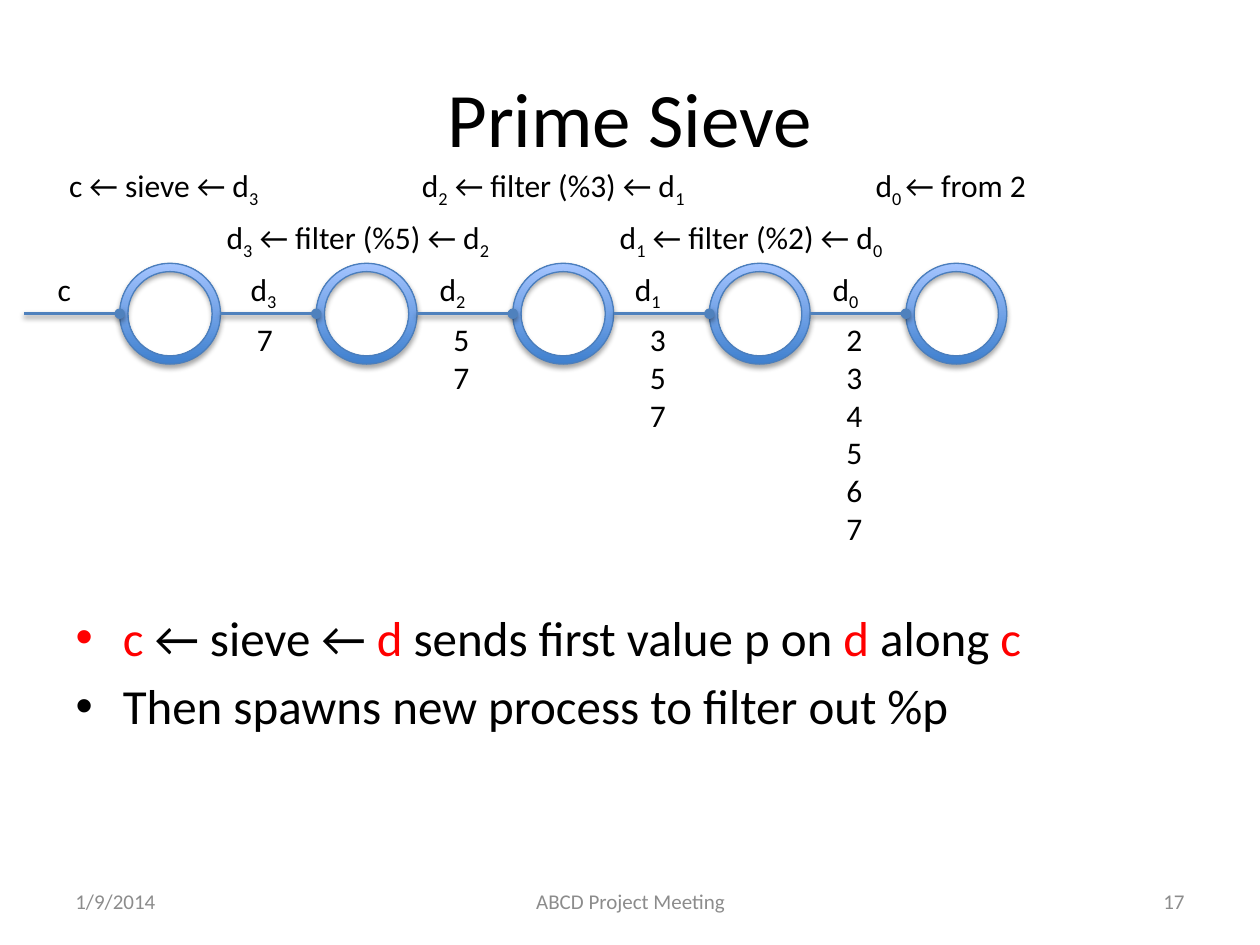
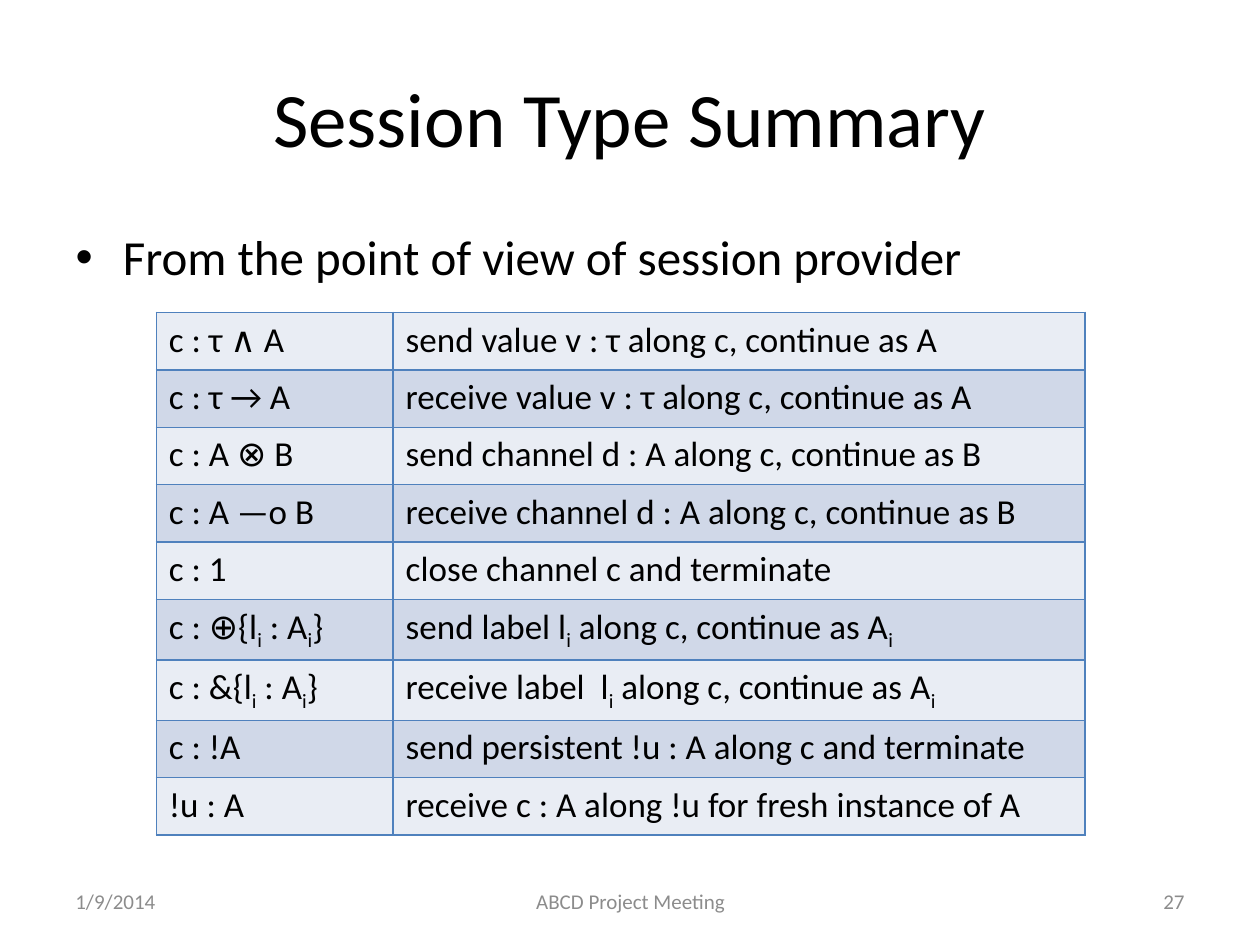
from lxml.etree import SubElement
from pptx import Presentation
from pptx.dml.color import RGBColor
from pptx.enum.shapes import MSO_CONNECTOR, MSO_SHAPE
from pptx.enum.text import MSO_ANCHOR, MSO_AUTO_SIZE, PP_ALIGN
from pptx.oxml import parse_xml
from pptx.oxml.ns import nsdecls, qn
from pptx.util import Inches, Pt

FONT = "Calibri"
BLACK, RED, GRAY = "000000", "FF0000", "8C8C8C"
BLUE, RING_EDGE, RING_DARK, RING_LIGHT = "4F81BD", "4B7EBC", "3F80CE", "A4C4FF"
ROW_FILLS = ["E9EDF4", "D0D8E8"]


def write_text(frame, text, size=18, color=BLACK, align=None, marked_color=None):
    """Write one paragraph per line; pieces between bars are coloured or subscript."""
    for number, line in enumerate(text.split("\n")):
        paragraph = frame.add_paragraph() if number else frame.paragraphs[0]
        paragraph.alignment = align
        for index, piece in enumerate(line.split("|")):
            if not piece:
                continue
            marked = index % 2 == 1
            run = paragraph.add_run()
            run.text = piece
            run.font.name = FONT
            run.font.size = Pt(size)
            run_color = marked_color if marked and marked_color else color
            run.font.color.rgb = RGBColor.from_string(run_color)
            if marked and not marked_color:
                run.font._element.set("baseline", "-25000")


def add_shadow(shape, distance, opacity):
    shape._element.spPr.append(parse_xml(
        f'<a:effectLst {nsdecls("a")}><a:outerShdw blurRad="{Pt(3.1)}" '
        f'dist="{Pt(distance)}" dir="5400000" rotWithShape="0">'
        f'<a:srgbClr val="{BLACK}"><a:alpha val="{opacity * 1000}"/></a:srgbClr>'
        '</a:outerShdw></a:effectLst>'))


presentation = Presentation()
presentation.slide_width = Inches(10)
presentation.slide_height = Inches(7.5)

# Title, bullet list and footer of each slide
pages = [
    ("Prime Sieve", "17", 4.77,
     "|c| ← sieve ← |d| sends first value p on |d| along |c|\n"
     "Then spawns new process to filter out %p"),
    ("Session Type Summary", "27", 1.75, "From the point of view of session provider"),
]
slides = []
for title, page_number, list_top, bullets in pages:
    slide = presentation.slides.add_slide(presentation.slide_layouts[1])
    slides.append(slide)
    heading, body = slide.placeholders
    heading.left, heading.top = Inches(0.5), Inches(0.3)
    heading.width, heading.height = Inches(9), Inches(1.25)
    write_text(heading.text_frame, title, size=44, align=PP_ALIGN.CENTER)
    body.left, body.top = Inches(0.5), Inches(list_top)
    body.width, body.height = Inches(9), Inches(6.7 - list_top)
    write_text(body.text_frame, bullets, size=28, marked_color=RED)

    for left, width, text, align in [
        (0.5, 2.33, "1/9/2014", PP_ALIGN.LEFT),
        (3.42, 3.17, "ABCD Project Meeting", PP_ALIGN.CENTER),
        (7.17, 2.33, page_number, PP_ALIGN.RIGHT),
    ]:
        footer = slide.shapes.add_textbox(Inches(left), Inches(6.95), Inches(width), Inches(0.4))
        footer.text_frame.word_wrap = True
        footer.text_frame.vertical_anchor = MSO_ANCHOR.MIDDLE
        write_text(footer.text_frame, text, size=12, color=GRAY, align=align)

sieve_slide, summary_slide = slides

# Prime sieve: a chain of processes, each with a channel on its left
# (process label, its left and width, channel name, its left and width, values)
processes = [
    ("c ← sieve ← d|3|", 0.45, 1.73, "c", 0.36, 0.31, ""),
    ("d|3| ← filter (%5) ← d|2|", 1.7, 2.41, "d|3|", 1.89, 0.42, "7"),
    ("d|2| ← filter (%3) ← d|1|", 3.25, 2.41, "d|2|", 3.39, 0.42, "5\n7"),
    ("d|1| ← filter (%2) ← d|0|", 4.82, 2.41, "d|1|", 4.94, 0.42, "3\n5\n7"),
    ("d|0 |← from 2", 6.85, 1.42, "d|0|", 6.51, 0.42, "2\n3\n4\n5\n6\n7"),
]
STEP, RING_SIZE, RING_TOP = 1.56, 0.8, 2.09
CHANNEL_Y = RING_TOP + RING_SIZE / 2
diagram = sieve_slide.shapes.add_group_shape().shapes
for index, (process, process_left, process_width,
            channel, channel_left, channel_width, values) in enumerate(processes):
    ring_left = 0.95 + index * STEP
    ring = diagram.add_shape(MSO_SHAPE.DONUT, Inches(ring_left), Inches(RING_TOP),
                             Inches(RING_SIZE), Inches(RING_SIZE))
    ring.adjustments[0] = 0.082
    ring.fill.gradient()
    ring.fill.gradient_angle = 90
    for stop, stop_color in zip(ring.fill.gradient_stops, (RING_DARK, RING_LIGHT)):
        stop.color.rgb = RGBColor.from_string(stop_color)
    ring.line.color.rgb = RGBColor.from_string(RING_EDGE)
    ring.line.width = Pt(0.75)
    add_shadow(ring, distance=1.8, opacity=35)

    wire = diagram.add_connector(MSO_CONNECTOR.STRAIGHT, Inches(ring_left), Inches(CHANNEL_Y),
                                 Inches(ring_left - STEP + RING_SIZE), Inches(CHANNEL_Y))
    wire.line.color.rgb = RGBColor.from_string(BLUE)
    wire.line.width = Pt(2)
    SubElement(wire.line._get_or_add_ln(), qn("a:headEnd"), type="oval")
    add_shadow(wire, distance=1.6, opacity=38)

    for text, left, top, width in [
        (process, process_left, 1.27 + 0.41 * (index % 2), process_width),
        (channel, channel_left, RING_TOP, channel_width),
        (values, 0.38 + index * STEP, CHANNEL_Y, 0.33),
    ]:
        if text:
            height = 0.1 + 0.3 * len(text.split("\n"))
            label = diagram.add_textbox(Inches(left), Inches(top), Inches(width), Inches(height))
            label.text_frame.word_wrap = False
            label.text_frame.auto_size = MSO_AUTO_SIZE.SHAPE_TO_FIT_TEXT
            write_text(label.text_frame, text)

# Session types: table of types and their meaning
session_types = [
    ("c : τ ∧ A", "send value v : τ along c, continue as A"),
    ("c : τ → A", "receive value v : τ along c, continue as A"),
    ("c : A ⊗ B", "send channel d : A along c, continue as B"),
    ("c : A —o B", "receive channel d : A along c, continue as B"),
    ("c : 1", "close channel c and terminate"),
    ("c : ⊕{l|i| : A|i|}", "send label l|i| along c, continue as A|i|"),
    ("c : &{l|i| : A|i|}", "receive label  l|i| along c, continue as A|i|"),
    ("c : !A", "send persistent !u : A along c and terminate"),
    ("!u : A", "receive c : A along !u for fresh instance of A"),
]
table = summary_slide.shapes.add_table(len(session_types), 2, Inches(1.24), Inches(2.48),
                                       Inches(7.37), Inches(4.1)).table
table.first_row = False
table.columns[0].width, table.columns[1].width = Inches(1.88), Inches(5.49)
for row_index, row in enumerate(session_types):
    for column_index, text in enumerate(row):
        cell = table.cell(row_index, column_index)
        write_text(cell.text_frame, text, size=20)
        properties = cell._tc.get_or_add_tcPr()
        for side in "LRTB":
            properties.append(parse_xml(
                f'<a:ln{side} {nsdecls("a")} w="{Pt(1)}"><a:solidFill>'
                f'<a:srgbClr val="{BLUE}"/></a:solidFill></a:ln{side}>'))
        cell.fill.solid()
        cell.fill.fore_color.rgb = RGBColor.from_string(ROW_FILLS[row_index % 2])

presentation.save("out.pptx")
